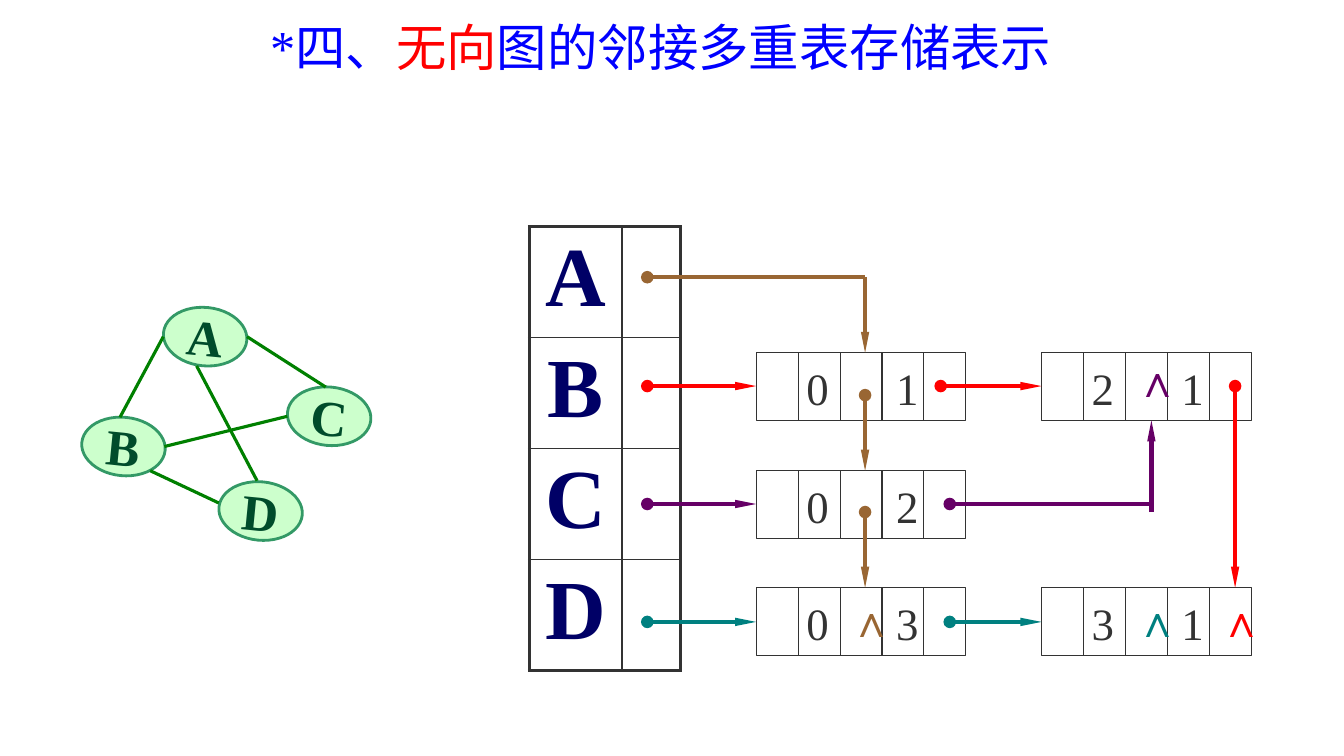
from pptx import Presentation
from pptx.dml.color import RGBColor as Color
from pptx.enum.shapes import MSO_CONNECTOR as Link, MSO_SHAPE as Shape
from pptx.enum.text import MSO_ANCHOR as Anchor, MSO_AUTO_SIZE as Fit, PP_ALIGN as Align
from pptx.oxml import parse_xml
from pptx.oxml.ns import nsdecls
from pptx.util import Inches, Pt

HUES = {
    "blue": "0000FF", "red": "FF0000", "brown": "996633", "plum": "660066",
    "teal": "008080", "ink": "333333", "navy": "000066", "mint": "CCFFCC",
    "rim": "339966", "leaf": "008000", "pine": "004C2B",
}
FONT = "Times New Roman"
HEAD_W, NEXT_W, ROW_H = 0.92, 0.58, 1.1
NODE_W, NODE_H = 2.08, 0.67
SLOT = NODE_W / 5
COLS, ROWS = (2.25, 5.08), (1.25, 2.42, 3.58)

NODES = [(0, 0, "0\t1"), (1, 0, "2\t1"), (0, 1, "0\t2"), (0, 2, "0\t3"), (1, 2, "3\t1")]
ENDS = [(1, 0, 2, "plum"), (1, 2, 2, "teal"), (1, 2, 4, "red"), (0, 2, 2, "brown")]
LINKS = [
    (1.17, 0.5, 3.33, 0.5, "brown", "oval", None),
    (3.33, 0.5, 3.33, 1.25, "brown", None, "triangle"),
    (3.33, 1.67, 3.33, 2.42, "brown", "oval", "triangle"),
    (3.33, 2.83, 3.33, 3.58, "brown", "oval", "triangle"),
    (1.17, 1.58, 2.25, 1.58, "red", "oval", "triangle"),
    (4.08, 1.58, 5.08, 1.58, "red", "oval", "triangle"),
    (7, 1.58, 7, 3.58, "red", "oval", "triangle"),
    (1.17, 2.75, 2.25, 2.75, "plum", "oval", "triangle"),
    (1.17, 3.92, 2.25, 3.92, "teal", "oval", "triangle"),
    (4.17, 3.92, 5.08, 3.92, "teal", "oval", "triangle"),
    (4.17, 2.75, 6.17, 2.75, "plum", "oval", None),
    (6.17, 2.83, 6.17, 1.92, "plum", None, "triangle"),
]
DOTS = [("A", 0.81, 0), ("B", 0, 1.09), ("C", 2.04, 0.79), ("D", 1.36, 1.73)]
EDGES = [
    (0.68, 1.62, 1.36, 1.94), (0.38, 1.09, 0.81, 0.29), (2.04, 1.08, 0.82, 1.38),
    (1.14, 0.58, 1.74, 1.72), (1.64, 0.29, 2.42, 0.79),
]


def hue(name):
    """Return the colour of that name."""
    return Color.from_string(HUES[name])


def write(par, text, size, tint, bold=False):
    """Add a run of text to a paragraph."""
    run = par.add_run()
    run.text = text
    for key, value in {"name": FONT, "size": Pt(size), "bold": bold}.items():
        setattr(run.font, key, value)
    run.font.color.rgb = hue(tint)


def add_text(shapes, left, top, width, height):
    """Add a wrapping text box and return its paragraph."""
    frame = shapes.add_textbox(*map(Inches, (left, top, width, height))).text_frame
    for key, value in {"word_wrap": True, "auto_size": Fit.SHAPE_TO_FIT_TEXT}.items():
        setattr(frame, key, value)
    return frame.paragraphs[0]


def add_line(shapes, ends, tint, width, head=None, tail=None):
    """Draw a straight line with optional end marks."""
    line = shapes.add_connector(Link.STRAIGHT, *map(Inches, ends))
    line.line.color.rgb = hue(tint)
    line.line.width = Pt(width)
    stroke = line.line._get_or_add_ln()
    marks = (("headEnd", head, "med", "med"), ("tailEnd", tail, "sm", "lg"))
    for tag, kind, wide, long in marks:
        if kind:
            stroke.append(parse_xml(
                f'<a:{tag} {nsdecls("a")} type="{kind}" w="{wide}" len="{long}"/>'))
    line._element.spPr.append(parse_xml(f'<a:effectLst {nsdecls("a")}/>'))


def add_title(slide, left, top):
    """Write the heading in blue with one red word."""
    par = add_text(slide.shapes, left, top, 8.03, 0.71)
    parts = (("*四、", "blue"), ("无向", "red"), ("图的邻接多重表存储表示", "blue"))
    for text, tint in parts:
        write(par, text, 36, tint)


def add_graph(slide, left, top):
    """Draw the graph of four vertices and five edges."""
    shapes = slide.shapes.add_group_shape().shapes
    for name, x, y in DOTS:
        dot = shapes.add_shape(
            Shape.OVAL, *map(Inches, (left + x, top + y, 0.83, 0.58)))
        dot.rotation = 5.6
        dot.shadow.inherit = False
        dot.fill.solid()
        dot.fill.fore_color.rgb = hue("mint")
        dot.line.color.rgb = hue("rim")
        dot.line.width = Pt(2)
        frame = dot.text_frame
        for key, value in {"word_wrap": False, "vertical_anchor": Anchor.MIDDLE}.items():
            setattr(frame, key, value)
        frame.paragraphs[0].alignment = Align.CENTER
        write(frame.paragraphs[0], name, 36, "pine", True)
    for x1, y1, x2, y2 in EDGES:
        add_line(shapes, (left + x1, top + y1, left + x2, top + y2), "leaf", 2.25)


def add_heads(slide, left, top):
    """Build the table of vertices with thick outer borders."""
    names = "ABCD"
    count = len(names)
    table = slide.shapes.add_table(count, 2, *map(
        Inches, (left, top, HEAD_W + NEXT_W, ROW_H * count))).table
    for key in ("first_row", "horz_banding"):
        setattr(table, key, False)
    for col, width in zip(table.columns, (HEAD_W, NEXT_W)):
        col.width = Inches(width)
    for i, name in enumerate(names):
        table.rows[i].height = Inches(ROW_H)
        par = table.cell(i, 0).text_frame.paragraphs[0]
        par.alignment = Align.CENTER
        write(par, name, 60, "navy", True)
        for j in range(2):
            cell = table.cell(i, j)
            cell.fill.background()
            props = cell._tc.get_or_add_tcPr()
            outer = {"L": j == 0, "R": j == 1, "T": i == 0, "B": i == count - 1}
            for k, (side, thick) in enumerate(outer.items()):
                props.insert(k, parse_xml(
                    f'<a:ln{side} {nsdecls("a")} w="{Pt(2.25 if thick else 1)}">'
                    f'<a:solidFill><a:srgbClr val="{HUES["ink"]}"/></a:solidFill>'
                    f'</a:ln{side}>'))


def add_node(slide, left, top, text):
    """Draw an edge node of five fields with its two vertex numbers."""
    shapes = slide.shapes.add_group_shape().shapes
    frame = shapes.add_shape(Shape.RECTANGLE, *map(Inches, (left, top, NODE_W, NODE_H)))
    frame.shadow.inherit = False
    frame.fill.background()
    frame.line.color.rgb = hue("ink")
    frame.line.width = Pt(0.75)
    for i in range(1, 5):
        x = left + i * SLOT
        add_line(shapes, (x, top, x, top + NODE_H), "ink", 0.75)
    par = add_text(shapes, left + 0.4, top + 0.03, 1.4, 0.63)
    par._p.get_or_add_pPr().append(parse_xml(
        f'<a:tabLst {nsdecls("a")}><a:tab pos="{Inches(0.89)}" algn="l"/></a:tabLst>'))
    write(par, text, 32, "ink")


def add_lists(slide, left, top):
    """Place the vertex table, the edge nodes, their links and end marks."""
    add_heads(slide, left, top)
    for col, row, text in NODES:
        add_node(slide, left + COLS[col], top + ROWS[row], text)
    for x1, y1, x2, y2, tint, head, tail in LINKS:
        ends = (left + x1, top + y1, left + x2, top + y2)
        add_line(slide.shapes, ends, tint, 3, head, tail)
    for col, row, slot, tint in ENDS:
        lift = 0.05 if row == 0 else 0
        par = add_text(slide.shapes, left + COLS[col] + slot * SLOT,
                       top + ROWS[row] - lift, 0.42, 0.63)
        write(par, "∧", 32, tint, True)


def main():
    """Build the slide and save it."""
    deck = Presentation()
    deck.slide_width, deck.slide_height = Inches(13.33), Inches(7.5)
    slide = deck.slides.add_slide(deck.slide_layouts[6])
    add_graph(slide, 0.81, 3.05)
    add_lists(slide, 5.25, 2.25)
    add_title(slide, 2.58, 0.11)
    deck.save("out.pptx")


if __name__ == "__main__":
    main()
